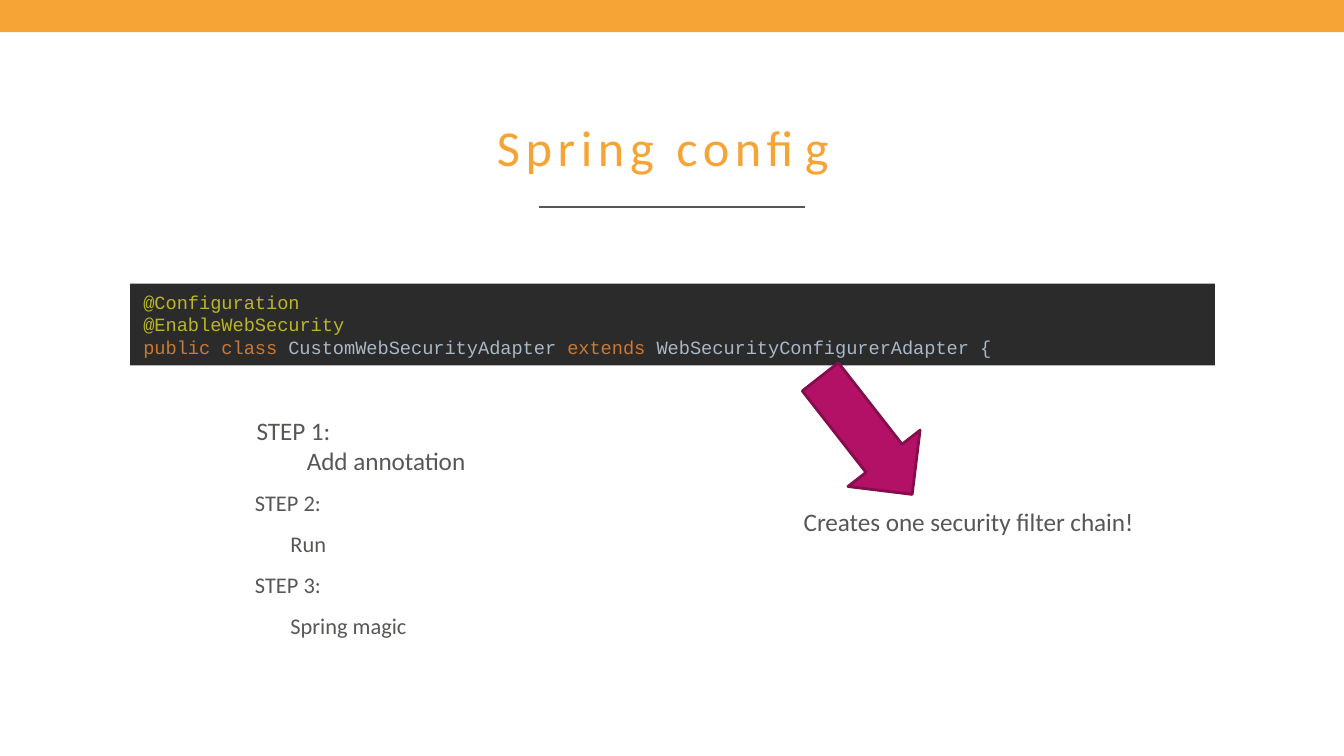
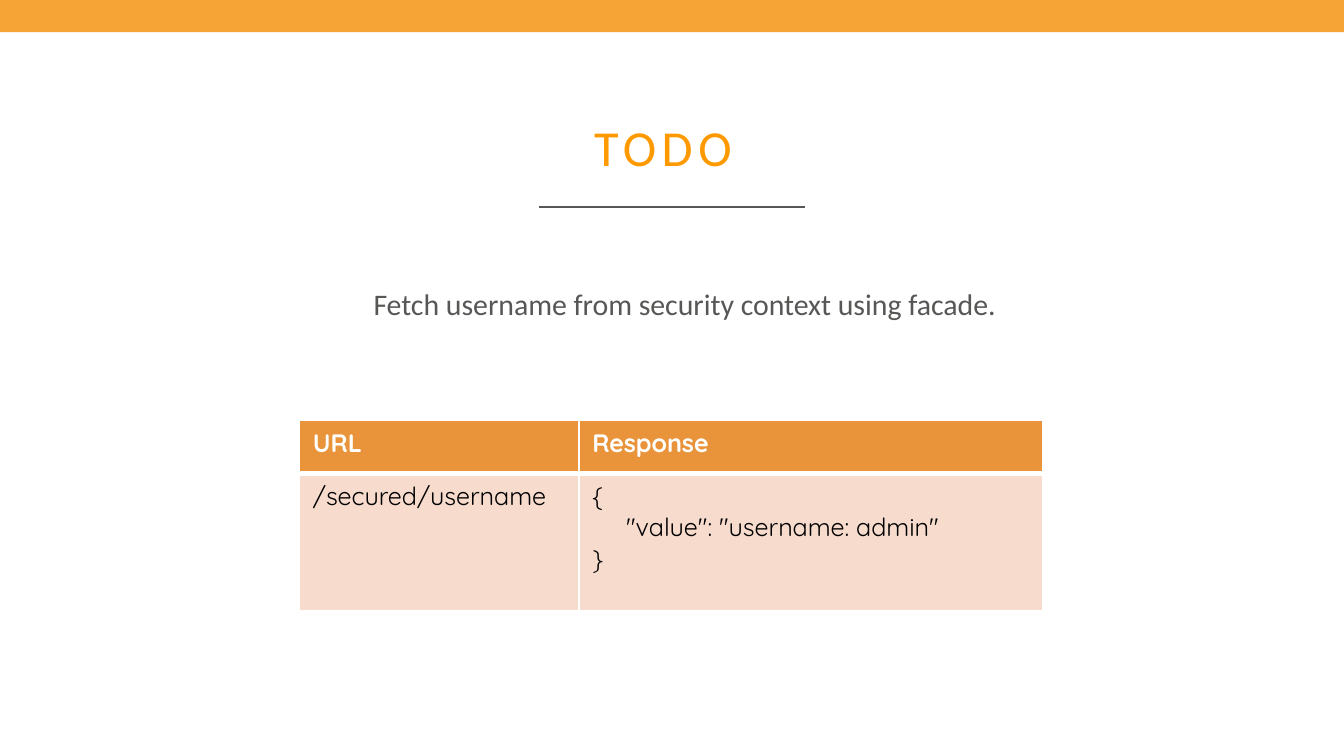
from pptx import Presentation
from pptx.dml.color import RGBColor
from pptx.enum.shapes import MSO_CONNECTOR, MSO_SHAPE
from pptx.enum.text import MSO_ANCHOR, PP_ALIGN
from pptx.oxml.ns import qn
from pptx.util import Cm, Pt
from lxml import etree

RECTANGLE, RIGHT_ARROW = MSO_SHAPE.RECTANGLE, MSO_SHAPE.RIGHT_ARROW
STRAIGHT = MSO_CONNECTOR.STRAIGHT
LEFT, CENTER = PP_ALIGN.LEFT, PP_ALIGN.CENTER
TOP, MIDDLE = MSO_ANCHOR.TOP, MSO_ANCHOR.MIDDLE


class Theme:
    width, height = 25.4, 14.29
    orange, todo_orange, grey = "F7A436", "FF9900", "575756"
    white, black = "FFFFFF", "000000"
    arrow_fill, arrow_line = "B31166", "840D4B"
    header_fill, body_fill = "E9943A", "F7DCCE"
    code_fill, annotation, keyword, name = "2B2B2B", "BBB529", "CC7832", "A9B7C6"
    title_font = {"name": "Calibri", "size": Pt(27)}
    text_font = {"name": "Calibri", "size": Pt(13.5), "color": grey}
    step_font = text_font | {"size": Pt(12)}
    task_font = text_font | {"size": Pt(16)}
    code_font = {"name": "Courier New", "size": Pt(10)}
    cell_font = {"name": "Quicksand", "size": Pt(13.5), "bold": False, "color": black}
    header_font = cell_font | {"bold": True, "color": white}
    letter_spacing = 300  # hundredths of a point


# Content
INDENT = Cm(1.27)
STEPS = [  # heading, action
    ("STEP 1:", "Add annotation"),
    ("STEP 2:", "Run"),
    ("STEP 3:", "Spring magic"),
]
CODE = [
    [("@Configuration", Theme.annotation)],
    [("@EnableWebSecurity", Theme.annotation)],
    [
        ("public class ", Theme.keyword),
        ("CustomWebSecurityAdapter ", Theme.name),
        ("extends ", Theme.keyword),
        ("WebSecurityConfigurerAdapter {", Theme.name),
    ],
]
RESULT = "Creates one security filter chain!"
TASK = "Fetch username from security context using facade."
# Each cell is a list of lines: text, indent in cm
TABLE = [
    [[("URL", 0)], [("Response", 0)]],
    [
        [("/secured/username", 0)],
        [("{", 0), ('"value": "username: admin"', 0.64), ("}", 0)],
    ],
]
COLUMNS, ROWS = (5.28, 8.76), (1.0, 2.6)


def rgb(value):
    return RGBColor.from_string(value)


def place(*lengths):
    return [Cm(length) for length in lengths]


# Text
def add_span(para, text, font):
    span = para.add_run()
    span.text = text
    for key, value in font.items():
        if key == "color":
            span.font.color.rgb = rgb(value)
        else:
            setattr(span.font, key, value)
    return span


def next_para(frame, indent=0, **formats):
    first = frame.paragraphs[0]
    para = frame.add_paragraph() if first.runs else first
    for key, value in formats.items():
        setattr(para, key, value)
    para._p.get_or_add_pPr().set("marL", str(int(indent)))
    return para


def add_box(page, at, anchor=TOP):
    frame = page.shapes.add_textbox(*place(*at)).text_frame
    frame.word_wrap = True
    frame.vertical_anchor = anchor
    return frame


# Shapes
def add_block(page, kind, at, fill, line=None):
    block = page.shapes.add_shape(kind, *place(*at))
    block.shadow.inherit = False
    block.fill.solid()
    block.fill.fore_color.rgb = rgb(fill)
    if line:
        block.line.color.rgb = rgb(line)
        block.line.width = Pt(1.5)
    else:
        block.line.fill.background()
    return block


def set_borders(cell, widths):
    properties = cell._tc.get_or_add_tcPr()
    for index, (side, width) in enumerate(widths.items()):
        line = etree.Element(qn(f"a:{side}"), w=str(int(Pt(width))))
        fill = etree.SubElement(line, qn("a:solidFill"))
        etree.SubElement(fill, qn("a:srgbClr"), val=Theme.white)
        properties.insert(index, line)


# Band, title and rule on every slide
def add_page(deck, title, color):
    page = deck.slides.add_slide(deck.slide_layouts[6])
    add_block(page, RECTANGLE, (0, 0, Theme.width, 0.61), Theme.orange)
    rule = page.shapes.add_connector(STRAIGHT, *place(10.19, 3.91, 15.21, 3.91))
    rule.line.color.rgb = rgb(Theme.grey)
    rule.line.width = Pt(0.75)
    etree.SubElement(rule._element.spPr, qn("a:effectLst"))
    frame = add_box(page, (3.4, 2.03, 18.26, 1.47), MIDDLE)
    para = next_para(frame, alignment=CENTER)
    span = add_span(para, title, Theme.title_font | {"color": color})
    span.font._element.set("spc", str(Theme.letter_spacing))
    return page


def build_config(deck):
    page = add_page(deck, "Spring config", Theme.orange)

    # Steps: the first is larger and set tight
    frame = add_box(page, (3.33, 7.72, 8.94, 4.83))
    for number, step in enumerate(STEPS):
        font = Theme.step_font if number else Theme.text_font
        indents = (1.24, 1.91) if number else (1.27, 2.22)
        for text, indent in zip(step, indents):
            para = next_para(frame, Cm(indent), space_before=Pt(7.5 if number else 0))
            add_span(para, text, font)

    # Code panel
    panel = add_block(page, RECTANGLE, (2.46, 5.36, 20.5, 1.55), Theme.code_fill)
    panel.text_frame.word_wrap = True
    panel.text_frame.vertical_anchor = MIDDLE
    para = next_para(panel.text_frame, alignment=LEFT)
    for number, line in enumerate(CODE):
        if number:
            para.add_line_break()
        for text, color in line:
            add_span(para, text, Theme.code_font | {"color": color})

    # Arrow to the result
    arrow = add_block(page, RIGHT_ARROW, (14.96, 7.37, 2.82, 1.73),
                      Theme.arrow_fill, Theme.arrow_line)
    arrow.rotation = 52
    frame = add_box(page, (13.67, 9.45, 8.94, 0.84))
    add_span(next_para(frame, INDENT), RESULT, Theme.text_font)


def build_todo(deck):
    page = add_page(deck, "TODO", Theme.todo_orange)
    frame = add_box(page, (5.54, 4.93, 14.35, 3.28))
    add_span(next_para(frame, INDENT, line_spacing=1.5), TASK, Theme.task_font)

    # Request table
    size = (5.66, 7.95, sum(COLUMNS), sum(ROWS))
    table = page.shapes.add_table(len(ROWS), len(COLUMNS), *place(*size)).table
    for column, width in zip(table.columns, COLUMNS):
        column.width = Cm(width)
    for row, height in zip(table.rows, ROWS):
        row.height = Cm(height)
    for row, cells in enumerate(TABLE):
        font = Theme.cell_font if row else Theme.header_font
        for column, lines in enumerate(cells):
            cell = table.cell(row, column)
            cell.fill.solid()
            cell.fill.fore_color.rgb = rgb(Theme.body_fill if row else Theme.header_fill)
            for text, indent in lines:
                add_span(next_para(cell.text_frame, Cm(indent)), text, font)
            set_borders(cell, {"lnL": 1, "lnR": 1, "lnT": 3 if row else 1,
                               "lnB": 1 if row else 3})


def main():
    deck = Presentation()
    deck.slide_width, deck.slide_height = place(Theme.width, Theme.height)
    build_config(deck)
    build_todo(deck)
    deck.save("out.pptx")


if __name__ == "__main__":
    main()
